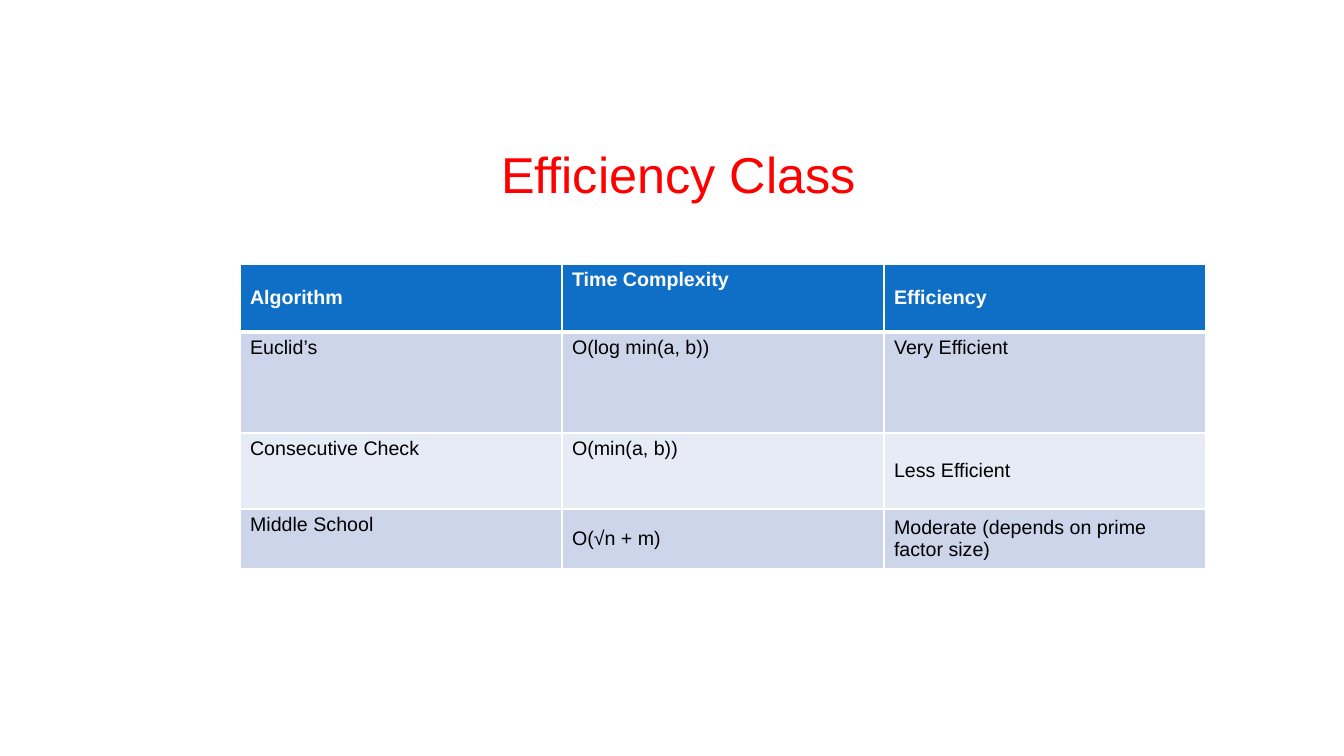
from lxml import etree
from pptx import Presentation
from pptx import util as u
from pptx.dml.color import RGBColor
from pptx.enum import text
from pptx.oxml.ns import qn

PX = 914400 / 100.8
FONT = "Arial"
WHITE, BLACK, RED, BLUE = "FFFFFF", "000000", "FF0000", "0F6FC6"
BANDS = ["CCD5EA", "E7EBF5"]
TOP, MIDDLE = text.MSO_ANCHOR.TOP, text.MSO_ANCHOR.MIDDLE

COLUMN_WIDTH = 322
ROW_HEIGHTS = [68, 101, 76, 60]
ROWS = [
    [("Algorithm", MIDDLE), ("Time Complexity", TOP), ("Efficiency", MIDDLE)],
    [("Euclid’s", TOP), ("O(log min(a, b))", TOP), ("Very Efficient", TOP)],
    [("Consecutive Check", TOP), ("O(min(a, b))", TOP), ("Less Efficient", MIDDLE)],
    [("Middle School", TOP), ("O(√n + m)", MIDDLE),
     ("Moderate (depends on prime factor size)", MIDDLE)],
]


def px(length):
    return u.Emu(round(length * PX))


def color(hex_string):
    return RGBColor.from_string(hex_string)


def format_font(paragraph, size, hex_string, bold=False):
    font = paragraph.font
    font.name, font.size, font.bold = FONT, u.Pt(size), bold
    font.color.rgb = color(hex_string)


def add_title(slide, wording, left, top, width, height):
    title = slide.shapes.title
    title.left, title.top, title.width, title.height = map(px, (left, top, width, height))
    frame = title.text_frame
    frame.text = wording
    frame.auto_size = text.MSO_AUTO_SIZE.NONE
    frame.vertical_anchor = text.MSO_ANCHOR.BOTTOM
    frame.margin_left = frame.margin_right = frame.margin_bottom = 0
    frame.margin_top = px(5)
    paragraph = frame.paragraphs[0]
    paragraph.alignment = text.PP_ALIGN.CENTER
    format_font(paragraph, 36, RED)


def set_borders(cell, widths):
    """Draw white borders; widths maps the sides L, R, T, B to points."""
    properties = cell._tc.get_or_add_tcPr()
    for side, width in widths.items():
        line = etree.SubElement(properties, qn(f"a:ln{side}"), w=str(u.Pt(width)))
        fill = etree.SubElement(line, qn("a:solidFill"))
        etree.SubElement(fill, qn("a:srgbClr"), val=WHITE)


def format_cell(cell, wording, anchor, row_index):
    is_header = row_index == 0
    set_borders(cell, {"L": 1, "R": 1, "T": 3 if row_index == 1 else 1,
                       "B": 3 if is_header else 1})
    cell.fill.solid()
    cell.fill.fore_color.rgb = color(BLUE if is_header else BANDS[(row_index - 1) % 2])
    cell.text = wording
    cell.vertical_anchor = anchor
    format_font(cell.text_frame.paragraphs[0], 14, WHITE if is_header else BLACK, is_header)


def add_efficiency_table(slide, left, top):
    column_count = len(ROWS[0])
    frame = slide.shapes.add_table(len(ROWS), column_count, px(left), px(top),
                                   px(COLUMN_WIDTH * column_count), px(sum(ROW_HEIGHTS)))
    table = frame.table
    for column in table.columns:
        column.width = px(COLUMN_WIDTH)
    for row_index, (height, entries) in enumerate(zip(ROW_HEIGHTS, ROWS)):
        table.rows[row_index].height = px(height)
        for column_index, (wording, anchor) in enumerate(entries):
            format_cell(table.cell(row_index, column_index), wording, anchor, row_index)


def main():
    presentation = Presentation()
    presentation.slide_width, presentation.slide_height = px(1344), px(756)
    slide = presentation.slides.add_slide(presentation.slide_layouts[5])
    add_title(slide, "Efficiency Class", 68, 78, 1221, 126)
    add_efficiency_table(slide, 240, 264)
    presentation.save("out.pptx")


if __name__ == "__main__":
    main()
